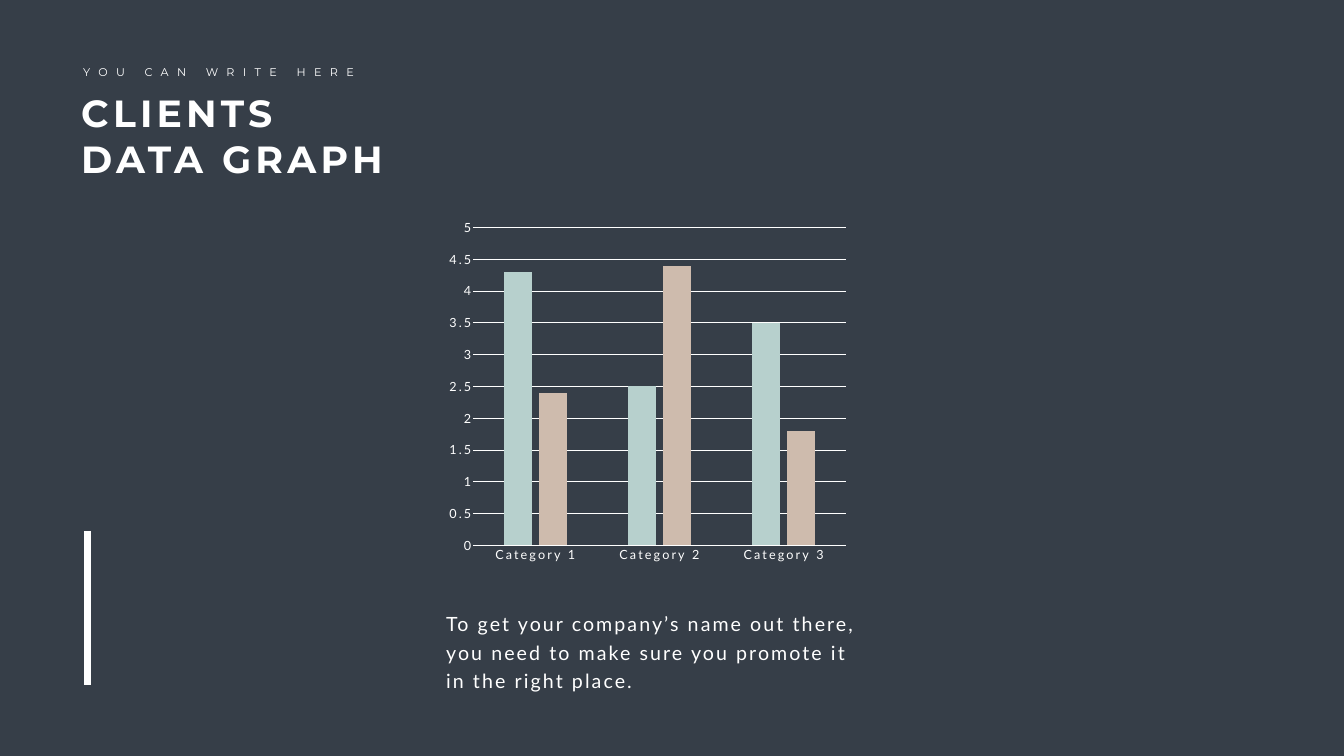
"""Build a dark slide with a heading, a column chart and a caption."""
from lxml.etree import SubElement
from pptx import Presentation
from pptx.chart.data import CategoryChartData
from pptx.dml.color import RGBColor
from pptx.enum.chart import XL_CHART_TYPE, XL_TICK_MARK
from pptx.enum.shapes import MSO_CONNECTOR
from pptx.enum.text import MSO_AUTO_SIZE
from pptx.oxml.ns import qn
from pptx.util import Cm, Pt

WHITE = RGBColor(0xFF, 0xFF, 0xFF)
SLATE = RGBColor(0x36, 0x3E, 0x48)
MINT = RGBColor(0xB7, 0xD0, 0xCD)
SAND = RGBColor(0xCE, 0xBB, 0xAD)

HEAD, BODY = "Montserrat", "Lato"
LEFT, WIDTH = 22.23, 20.8
TEXTS = [
    dict(text="YOU CAN WRITE HERE", box=(3.94, 3.15, 14.68, 0.94),
         face=HEAD, size=16, gap=12, wrap=False),
    dict(text="CLIENTS DATA GRAPH", box=(3.84, 4.42, 16.56, 4.88),
         face=HEAD, size=54, gap=6, bold=True),
    dict(text="To get your company’s name out there, you need to make sure "
              "you promote it in the right place.",
         box=(LEFT, 30.48, 21.36, 4.5), face=BODY, size=28, gap=3, lead=40.8),
]
CATS = ["Category 1", "Category 2", "Category 3"]
SERIES = [
    ("Series 1", (4.3, 2.5, 3.5), MINT),
    ("Series 2", (2.4, 4.4, 1.8), SAND),
]
CHART = (LEFT, 10.72, WIDTH, 17.98)
BAR = (4.39, 26.75, 4.39, 34.54)


def style(font, face, size, gap, bold=False):
    font.name, font.size, font.bold = face, Pt(size), bold
    font.color.rgb = WHITE
    font._element.set("spc", str(gap * 100))


def add_text(slide, text, box, face, size, gap, bold=False, wrap=True, lead=None):
    frame = slide.shapes.add_textbox(*map(Cm, box)).text_frame
    frame.word_wrap = wrap
    frame.auto_size = MSO_AUTO_SIZE.SHAPE_TO_FIT_TEXT
    para = frame.paragraphs[0]
    if lead:
        para.line_spacing = Pt(lead)
    run = para.add_run()
    run.text = text
    style(run.font, face, size, gap, bold)
    run.font._element.set("lang", "en-US")


def draw_line(line):
    line.color.rgb = WHITE
    line.width = Pt(0.75)


def add_graph(slide):
    data = CategoryChartData()
    data.categories = CATS
    for name, vals, _ in SERIES:
        data.add_series(name, vals)
    kind = XL_CHART_TYPE.COLUMN_CLUSTERED
    chart = slide.shapes.add_chart(kind, *map(Cm, CHART), data).chart
    chart.has_legend = chart.has_title = False
    style(chart.font, BODY, 18, 3)
    plot = chart.plots[0]
    plot.gap_width, plot.overlap = 219, -27
    plot.vary_by_categories = False
    for item, (_, _, color) in zip(plot.series, SERIES):
        item.format.fill.solid()
        item.format.fill.fore_color.rgb = color
    cat, val = chart.category_axis, chart.value_axis
    for axis in (cat, val):
        axis.major_tick_mark = axis.minor_tick_mark = XL_TICK_MARK.NONE
        style(axis.tick_labels.font, BODY, 18, 3)
    draw_line(cat.format.line)
    val.format.line.fill.background()
    val.minimum_scale, val.maximum_scale, val.major_unit = 0, 5, 0.5
    val.tick_labels.number_format = "General"
    val.tick_labels.number_format_is_linked = False
    draw_line(val.major_gridlines.format.line)


def add_bar(slide):
    bar = slide.shapes.add_connector(MSO_CONNECTOR.STRAIGHT, *map(Cm, BAR))
    bar.line.color.rgb = WHITE
    bar.line.width = Pt(10)
    SubElement(bar._element.spPr, qn("a:effectLst"))


def main():
    deck = Presentation()
    deck.slide_width, deck.slide_height = Cm(67.72), Cm(38.1)
    slide = deck.slides.add_slide(deck.slide_layouts[6])
    slide.background.fill.solid()
    slide.background.fill.fore_color.rgb = SLATE
    for item in TEXTS:
        add_text(slide, **item)
    add_graph(slide)
    add_bar(slide)
    deck.save("out.pptx")


if __name__ == "__main__":
    main()
